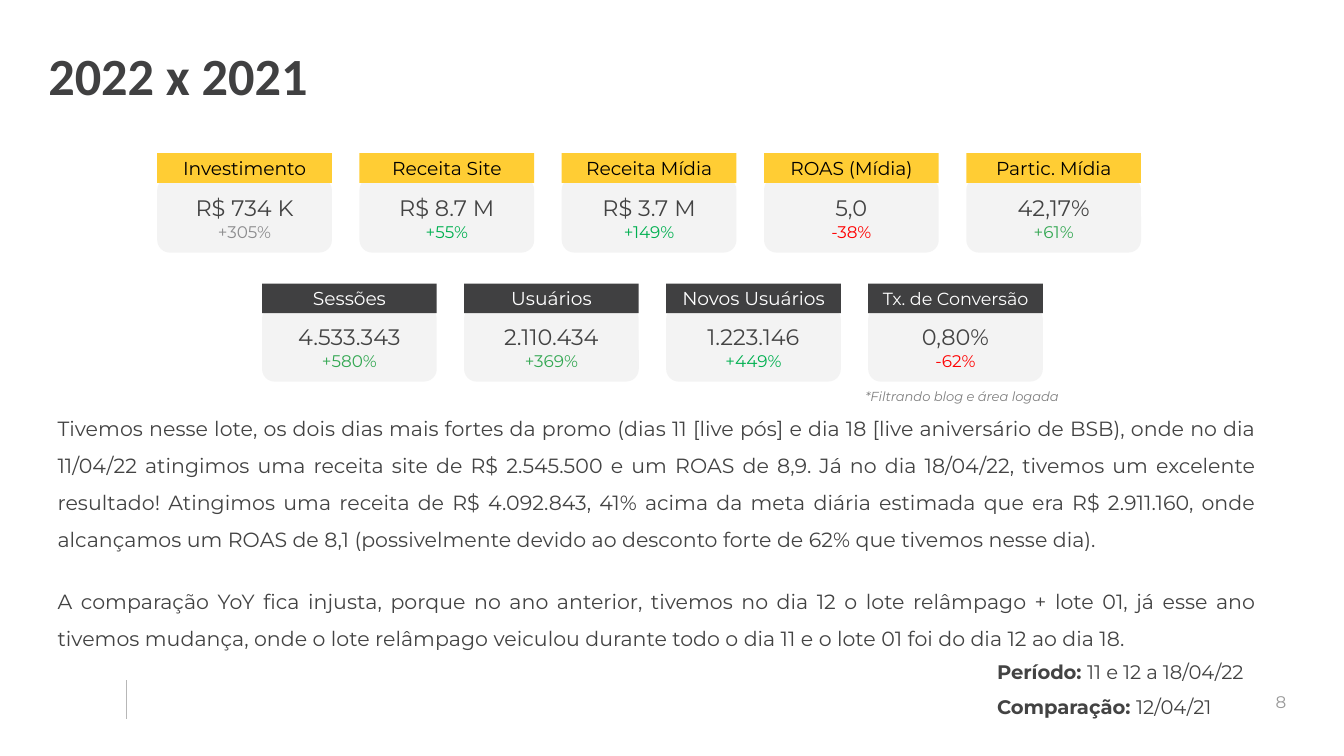
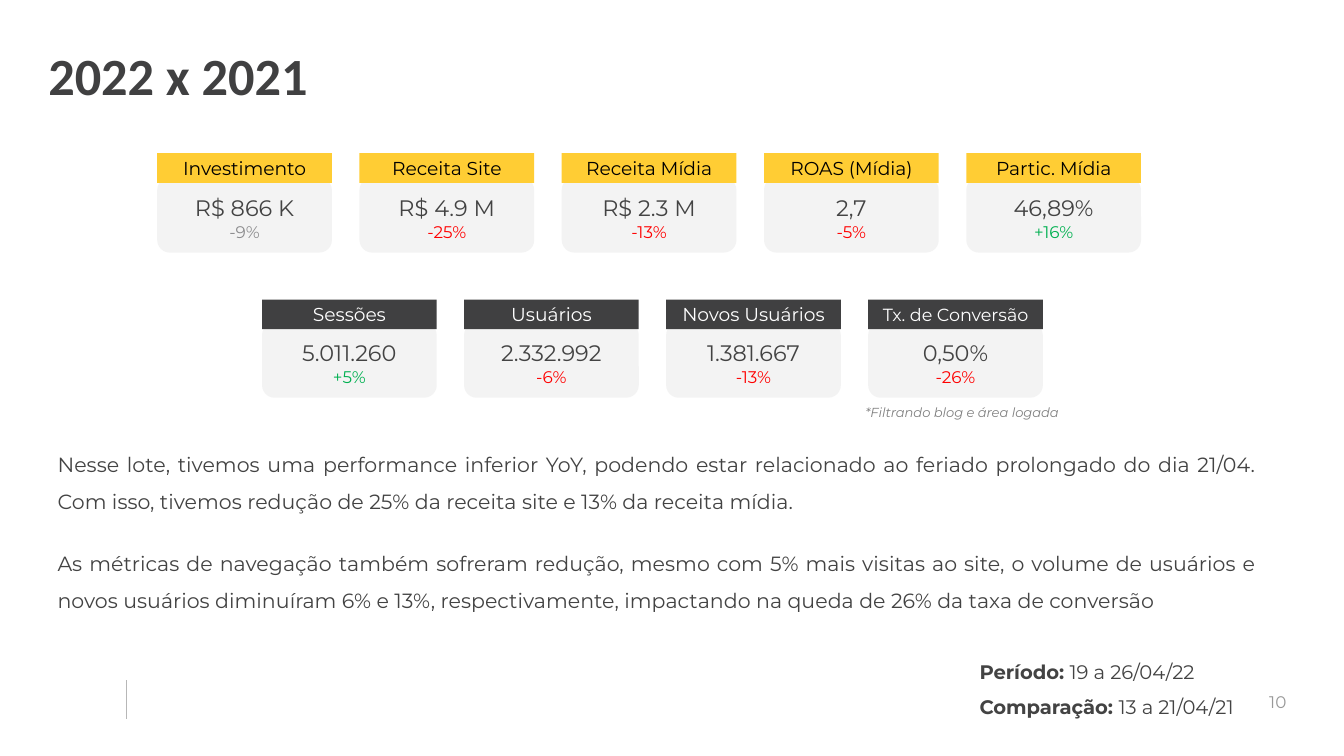
from pptx import Presentation
from pptx.dml.color import RGBColor
from pptx.enum.shapes import MSO_CONNECTOR, MSO_SHAPE
from pptx.enum.text import MSO_ANCHOR, PP_ALIGN
from pptx.oxml.ns import qn
from pptx.util import Inches, Pt
from lxml import etree

# Shared style
colour = RGBColor.from_string
FONT = "Montserrat"
INK, CHARCOAL, YELLOW, PANEL = "434343", "404041", "FFCD34", "F3F3F3"
GREY, GREEN, LEAF, RED = "8C8C8E", "00B050", "34A853", "FF0000"
CARD_WIDTH, HEADER_HEIGHT, BODY_HEIGHT = 1.3, 0.22, 0.56
NOTE_DROP = 0.73

# Card rows: left of first card, left of last card, drop from header to body,
# header fill, header text, labels
CARD_ROWS = [
    (1.17, 7.19, 0.18, YELLOW, "000000",
     ["Investimento", "Receita Site", "Receita Mídia", "ROAS (Mídia)", "Partic. Mídia"]),
    (1.95, 6.46, 0.17, CHARCOAL, "FFFFFF",
     ["Sessões", "Usuários", "Novos Usuários", "Tx. de Conversão"]),
]

# What differs from slide to slide
SLIDES = [
    {
        "number": "8",
        "row_tops": [1.14, 2.11],
        "cards": [
            [("R$ 734 K", "+305%", GREY), ("R$ 8.7 M", "+55%", GREEN),
             ("R$ 3.7 M", "+149%", GREEN), ("5,0", "-38%", RED), ("42,17%", "+61%", LEAF)],
            [("4.533.343", "+580%", LEAF), ("2.110.434", "+369%", LEAF),
             ("1.223.146", "+449%", GREEN), ("0,80%", "-62%", RED)],
        ],
        "comment_area": (0.33, 2.99, 9.12, 1.86),
        "comment_anchor": MSO_ANCHOR.MIDDLE,
        "comments": [
            "Tivemos nesse lote, os dois dias mais fortes da promo (dias 11 [live pós] e dia 18 "
            "[live aniversário de BSB), onde no dia 11/04/22 atingimos uma receita site de "
            "R$ 2.545.500 e um ROAS de 8,9. Já no dia 18/04/22, tivemos um excelente resultado! "
            "Atingimos uma receita de R$ 4.092.843, 41% acima da meta diária estimada que era "
            "R$ 2.911.160, onde alcançamos um ROAS de 8,1 (possivelmente devido ao desconto "
            "forte de 62% que tivemos nesse dia).",
            "A comparação YoY fica injusta, porque no ano anterior, tivemos no dia 12 o lote "
            "relâmpago + lote 01, já esse ano tivemos mudança, onde o lote relâmpago veiculou "
            "durante todo o dia 11 e o lote 01 foi do dia 12 ao dia 18.",
        ],
        "period_area": (7.32, 4.72, 2.05, 0.72),
        "period": "11 e 12 a 18/04/22",
        "comparison": "12/04/21",
    },
    {
        "number": "10",
        "row_tops": [1.14, 2.23],
        "cards": [
            [("R$ 866 K", "-9%", GREY), ("R$ 4.9 M", "-25%", RED),
             ("R$ 2.3 M", "-13%", RED), ("2,7", "-5%", RED), ("46,89%", "+16%", GREEN)],
            [("5.011.260", "+5%", GREEN), ("2.332.992", "-6%", RED),
             ("1.381.667", "-13%", RED), ("0,50%", "-26%", RED)],
        ],
        "comment_area": (0.33, 3.17, 9.12, 1.56),
        "comment_anchor": MSO_ANCHOR.TOP,
        "comments": [
            "Nesse lote, tivemos uma performance inferior YoY, podendo estar relacionado ao "
            "feriado prolongado do dia 21/04. Com isso, tivemos redução de 25% da receita site "
            "e 13% da receita mídia.",
            "As métricas de navegação também sofreram redução, mesmo com 5% mais visitas ao "
            "site, o volume de usuários e novos usuários diminuíram 6% e 13%, respectivamente, "
            "impactando na queda de 26% da taxa de conversão",
        ],
        "period_area": (7.19, 4.72, 2.18, 0.72),
        "period": "19 a 26/04/22",
        "comparison": "13 a 21/04/21",
    },
]


def add_box(page, area, kind=None, fill=None):
    """Add a text box, or a filled shape without outline when a kind is given."""
    place = [Inches(length) for length in area]
    if kind is None:
        return page.shapes.add_textbox(*place)
    box = page.shapes.add_shape(kind, *place)
    box.shadow.inherit = False
    box.fill.solid()
    box.fill.fore_color.rgb = colour(fill)
    box.line.fill.background()
    return box


def write(box, paragraphs, align=PP_ALIGN.LEFT, anchor=MSO_ANCHOR.TOP,
          spacing=1.0, gap=0, inset=(0.1, 0.1), font=FONT):
    """Fill a box; a paragraph is a list of (text, size, colour, style) runs."""
    frame = box.text_frame
    frame.word_wrap = True
    frame.vertical_anchor = anchor
    frame.margin_left = frame.margin_right = Inches(inset[0])
    frame.margin_top = frame.margin_bottom = Inches(inset[1])
    for index, runs in enumerate(paragraphs):
        para = frame.add_paragraph() if index else frame.paragraphs[0]
        para.alignment = align
        para.line_spacing = spacing
        para.space_before = Pt(gap if index else 0)
        for text, size, ink, style in runs:
            span = para.add_run()
            span.text = text
            span.font.name = font
            span.font.size = Pt(size)
            span.font.color.rgb = colour(ink)
            span.font.bold = style == "bold"
            span.font.italic = style == "italic"


# Widescreen deck, 16:9
deck = Presentation()
deck.slide_width = Inches(10)
deck.slide_height = Inches(10) * 9 // 16

for content in SLIDES:
    page = deck.slides.add_slide(deck.slide_layouts[6])

    # Footer rule and page number
    rule = page.shapes.add_connector(
        MSO_CONNECTOR.STRAIGHT, Inches(0.94), Inches(5.06), Inches(0.94), Inches(5.35))
    rule.line.color.rgb = colour("B7B7B7")
    rule.line.width = Pt(0.75)
    etree.SubElement(rule._element.spPr, qn("a:effectLst"))
    write(add_box(page, (9.07, 5.01, 0.6, 0.43)),
          [[(content["number"], 9, "999999", "")]], PP_ALIGN.RIGHT, MSO_ANCHOR.MIDDLE)

    # Title
    write(add_box(page, (0.33, 0.22, 4.05, 0.56)),
          [[("2022 x 2021", 28, CHARCOAL, "bold")]],
          spacing=1.15, inset=(0.03, 0.03), font="Calibri")

    # Comments
    write(add_box(page, content["comment_area"]),
          [[(comment, 11, INK, "")] for comment in content["comments"]],
          PP_ALIGN.JUSTIFY, content["comment_anchor"], spacing=1.5, gap=13.4)

    # Metric cards
    for row, top, cards in zip(CARD_ROWS, content["row_tops"], content["cards"]):
        first, last, drop, header_fill, header_ink, labels = row
        step = (last - first) / (len(labels) - 1)
        for column, (label, (value, change, change_ink)) in enumerate(zip(labels, cards)):
            left = first + column * step
            body = add_box(page, (left, top + drop, CARD_WIDTH, BODY_HEIGHT),
                           MSO_SHAPE.ROUNDED_RECTANGLE, PANEL)
            write(body, [[(value, 12, INK, "")], [(change, 9, change_ink, "")]],
                  PP_ALIGN.CENTER)
            header = add_box(page, (left, top, CARD_WIDTH, HEADER_HEIGHT),
                             MSO_SHAPE.RECTANGLE, header_fill)
            label_size = 9.4 if label == "Tx. de Conversão" else 10
            write(header, [[(label, label_size, header_ink, "")]],
                  PP_ALIGN.CENTER, MSO_ANCHOR.MIDDLE)

    # Note under the last row of cards
    write(add_box(page, (6.34, content["row_tops"][-1] + NOTE_DROP, 1.71, 0.22)),
          [[("*Filtrando blog e área logada", 7, "808080", "italic")]], inset=(0.1, 0.05))

    # Period and comparison dates
    write(add_box(page, content["period_area"]),
          [[(name, 10.5, INK, "bold"), (dates, 10.5, INK, "")]
           for name, dates in (("Período: ", content["period"]),
                               ("Comparação: ", content["comparison"]))],
          spacing=1.5)

deck.save("out.pptx")
